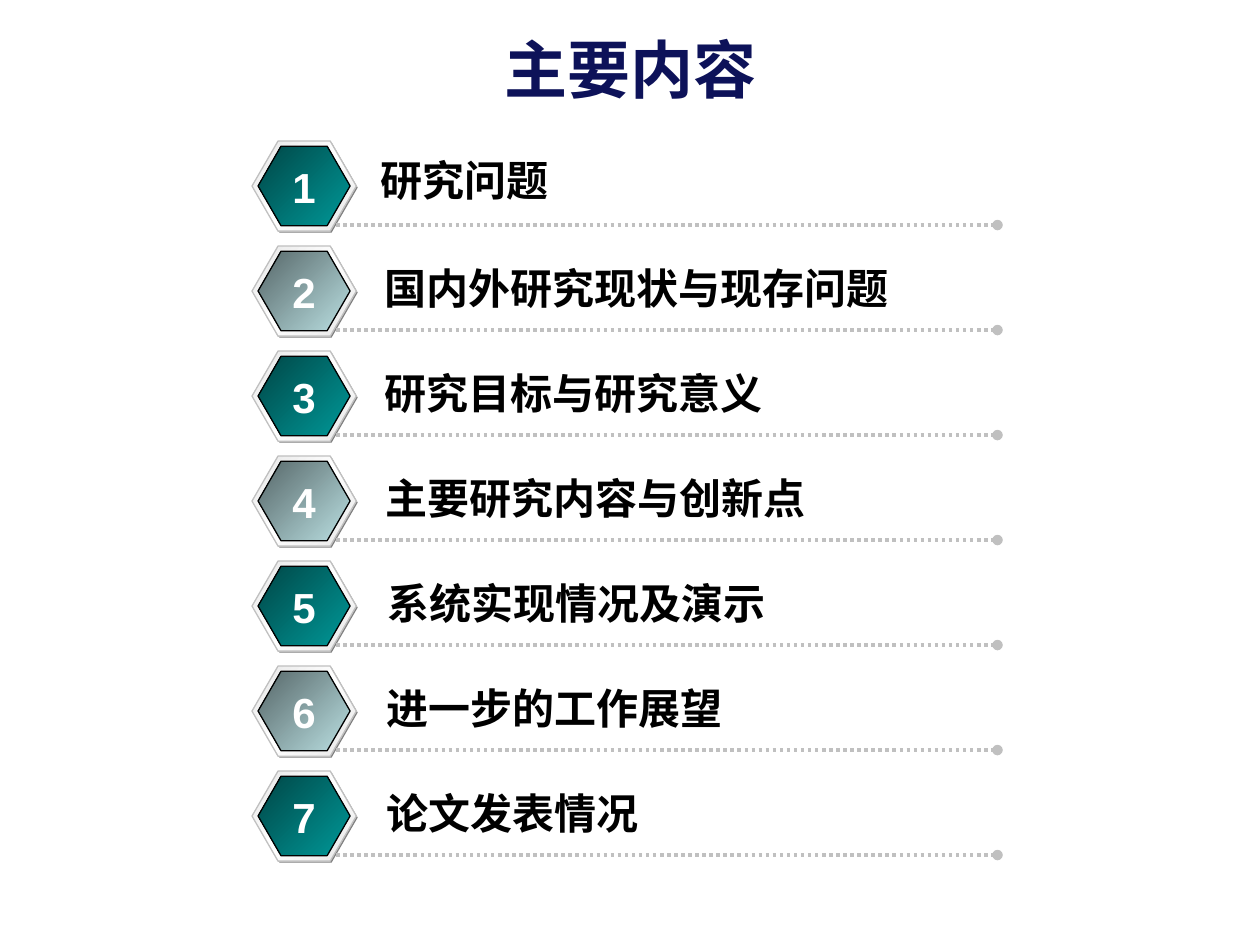
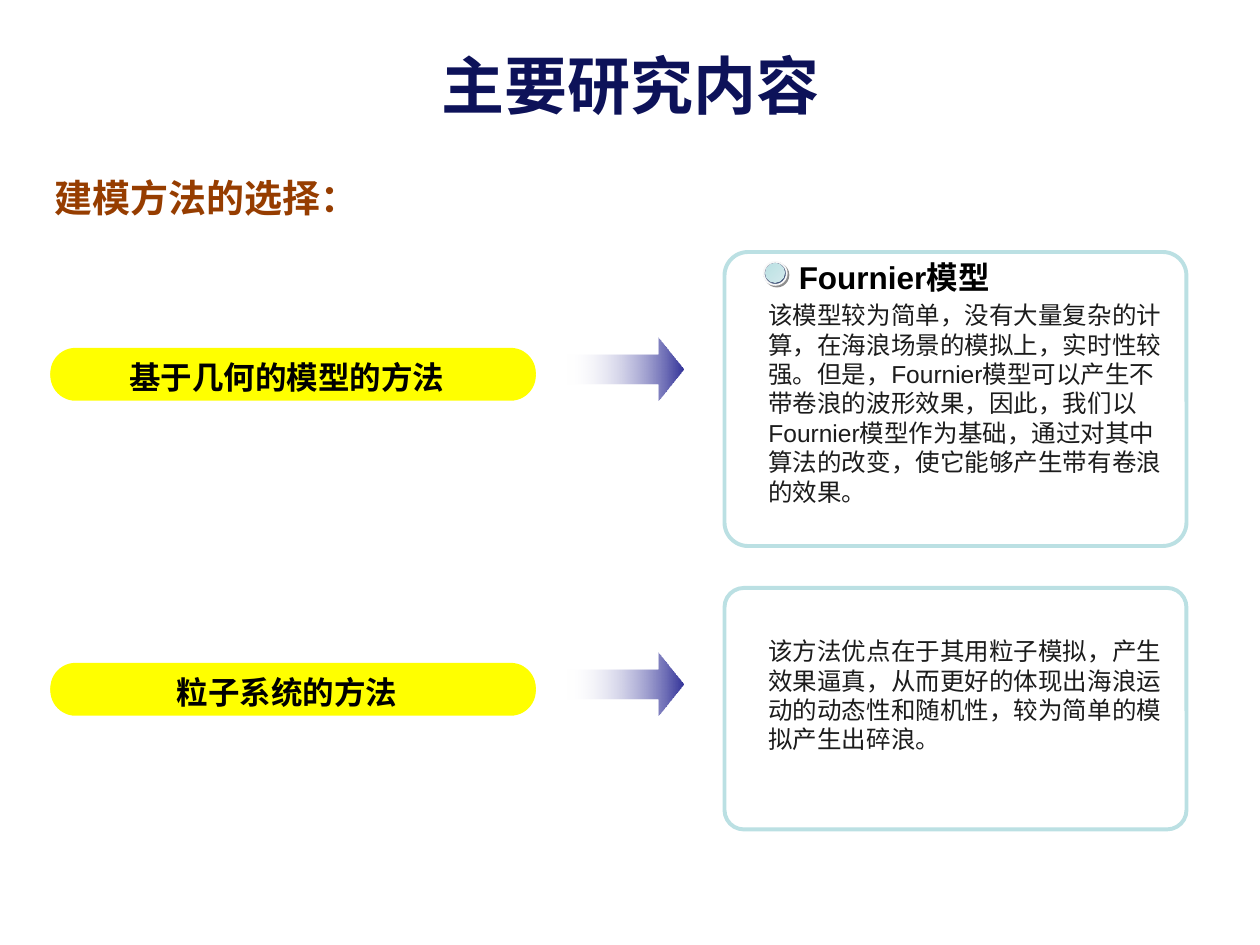
from dataclasses import dataclass
from lxml import etree
from pptx import Presentation
from pptx.dml.color import RGBColor
from pptx.enum import dml, shapes, text
from pptx.oxml.ns import qn
from pptx.util import Pt

# Content: agenda lines with the left edge of each label
AGENDA = [
    ("研究问题", 210.2),
    ("国内外研究现状与现存问题", 212.4),
    ("研究目标与研究意义", 212.4),
    ("主要研究内容与创新点", 213.2),
    ("系统实现情况及演示", 214.4),
    ("进一步的工作展望", 213.8),
    ("论文发表情况", 213.8),
]

# Content: method, row top, card top, card height, note top, note
METHODS = [
    ("基于几何的模型的方法", 193, 144, 168, 168,
     "该模型较为简单，没有大量复杂的计算，在海浪场景的模拟上，实时性较强。但是，"
     "Fournier模型可以产生不带卷浪的波形效果，因此，我们以Fournier模型作为基础，"
     "通过对其中算法的改变，使它能够产生带有卷浪的效果。"),
    ("粒子系统的方法", 373, 336, 138, 360,
     "该方法优点在于其用粒子模拟，产生效果逼真，从而更好的体现出海浪运动的动态性和"
     "随机性，较为简单的模拟产生出碎浪。"),
]


@dataclass(frozen=True)
class Theme:
    font: str = "Arial"
    cjk: str = "Noto Sans CJK SC"
    navy: str = "0D1259"
    brown: str = "963D00"
    black: str = "000000"
    ink: str = "1C1C1C"
    white: str = "FFFFFF"
    grey: str = "808080"
    silver: str = "C0C0C0"
    pale: str = "BBE0E3"
    yellow: str = "FFFF00"
    rim: tuple = ((0, "E6E6E6"), (50, "FFFFFF"), (100, "E6E6E6"))
    teal: tuple = ((0, "009999"), (100, "004646"))
    mist: tuple = ((0, "BBE0E3"), (100, "566768"))
    fade: tuple = ((0, "FEFEFE", 0), (100, "333399"))
    ring: tuple = ((0, "223864"), (100, "BEC5D1"))
    bead: tuple = ((0, "D2EAEC"), (100, "BBE0E3"))
    head: float = 36
    item: float = 24
    lead: float = 21.7
    name: float = 18
    note: float = 14


T = Theme()
KIND = shapes.MSO_SHAPE
LEFT, MID = text.PP_ALIGN.LEFT, text.PP_ALIGN.CENTER


def rgb(code):
    return RGBColor.from_string(code)


def blend(shape, stops, angle):
    """Fill with gradient stops (percent, colour, optional opacity)."""
    shape.fill.gradient()
    shape.fill.gradient_angle = -angle % 360
    ramp = shape._element.spPr.find(".//" + qn("a:gsLst"))
    for old in list(ramp):
        ramp.remove(old)
    for pos, code, *alpha in stops:
        stop = etree.SubElement(ramp, qn("a:gs"), pos=str(pos * 1000))
        tint = etree.SubElement(stop, qn("a:srgbClr"), val=code)
        for part in alpha:
            etree.SubElement(tint, qn("a:alpha"), val=str(part * 1000))


def draw(slide, kind, box, fill, line=None, width=0.75, adj=(), angle=225):
    shape = slide.shapes.add_shape(kind, *map(Pt, box))
    shape.shadow.inherit = False
    for i, value in enumerate(adj):
        shape.adjustments[i] = value
    if isinstance(fill, str):
        shape.fill.solid()
        shape.fill.fore_color.rgb = rgb(fill)
    else:
        blend(shape, fill, angle)
    if line:
        shape.line.color.rgb = rgb(line)
        shape.line.width = Pt(width)
    else:
        shape.line.fill.background()
    return shape


def style(frame, words, size, color, bold=True, align=LEFT):
    frame.text = words
    para = frame.paragraphs[0]
    para.alignment = align
    for run in para.runs:
        font = run.font
        font.name, font.size, font.bold = T.font, Pt(size), bold
        font.color.rgb = rgb(color)
        etree.SubElement(run._r.get_or_add_rPr(), qn("a:ea"), typeface=T.cjk)


def write(slide, box, words, size, color, bold=True, align=LEFT, wrap=True):
    frame = slide.shapes.add_textbox(*map(Pt, box)).text_frame
    frame.word_wrap = wrap
    style(frame, words, size, color, bold, align)
    return frame


def start(deck, title, height):
    """Add a slide with the shared title style."""
    slide = deck.slides.add_slide(deck.slide_layouts[5])
    head = slide.shapes.title
    head.left, head.top, head.width, head.height = map(Pt, (60, 6, 600, height))
    head.text_frame.vertical_anchor = text.MSO_ANCHOR.MIDDLE
    style(head.text_frame, title, T.head, T.navy, align=MID)
    return slide


def rule(slide, y):
    """Dotted line that ends in a dot."""
    line = slide.shapes.add_connector(
        shapes.MSO_CONNECTOR.STRAIGHT, Pt(192), Pt(y), Pt(570), Pt(y))
    line.line.color.rgb = rgb(T.silver)
    line.line.width = Pt(2)
    line.line.dash_style = dml.MSO_LINE.ROUND_DOT
    etree.SubElement(line.line._get_or_add_ln(), qn("a:tailEnd"), type="oval")
    etree.SubElement(line._element.spPr, qn("a:effectLst"))


def agenda(deck):
    slide = start(deck, "主要内容", 66)
    for i, (label, left) in enumerate(AGENDA):
        top = 80.6 + 60 * i
        # Badge: shade, rim, core
        for box, fill, line in (
            ((144.8, top + 0.8, 59.6, 51.5), T.grey, None),
            ((144, top, 59.6, 51.5), T.rim, T.silver),
            ((147.5, top + 3, 52.6, 45.4), T.mist if i % 2 else T.teal, T.black),
        ):
            draw(slide, KIND.HEXAGON, box, fill, line, adj=[0.289])
        rule(slide, top + 48)
        drop = 6.1 if i else 4.4
        write(slide, (left, top + drop, T.item * len(label) + 15, 36),
              label, T.item, T.black, wrap=False)
        write(slide, (160, top + 8, 27.4, 36), str(i + 1), T.item, T.white,
              align=MID, wrap=False)


def marker(slide):
    """Round bullet with a soft shadow."""
    ring = draw(slide, KIND.OVAL, (436.4, 149.6, 13.2, 13.2), T.ring, "F8F8F8", 1)
    glow = etree.SubElement(ring._element.spPr.find(qn("a:effectLst")),
                            qn("a:outerShdw"), dist="17800", dir="2700000")
    tint = etree.SubElement(glow, qn("a:srgbClr"), val=T.ink)
    etree.SubElement(tint, qn("a:alpha"), val="50000")
    draw(slide, KIND.OVAL, (437.5, 150.5, 11, 11), T.bead)


def methods(deck):
    slide = start(deck, "主要研究内容", 84)
    write(slide, (24, 96, 600, 36), "建模方法的选择：", T.lead, T.brown)
    for name, top, card, tall, low, note in METHODS:
        # Pill, arrow and card
        for lift in (7.2, 5.8):
            draw(slide, KIND.ROUNDED_RECTANGLE, (28.8, top + lift, 277.4, 28.8),
                 T.yellow, adj=[0.5])
        frame = write(slide, (64, top + 14.4, 200, 15.8), name, T.name, T.black,
                      align=MID)
        frame.vertical_anchor = text.MSO_ANCHOR.MIDDLE
        draw(slide, KIND.RIGHT_ARROW, (324, top, 66.4, 36), T.fade,
             adj=[0.465, 0.403], angle=0)
        draw(slide, KIND.ROUNDED_RECTANGLE, (414, card, 264, tall), T.white,
             T.pale, 2.25, [0.08])
        write(slide, (432, low, 240, tall - 44), note, T.note, T.ink, bold=False)
    write(slide, (449.4, 144, 172, 29), "Fournier模型", T.name, T.black)
    marker(slide)


def main():
    deck = Presentation()
    deck.slide_width, deck.slide_height = Pt(720), Pt(540)
    agenda(deck)
    methods(deck)
    deck.save("out.pptx")


if __name__ == "__main__":
    main()
